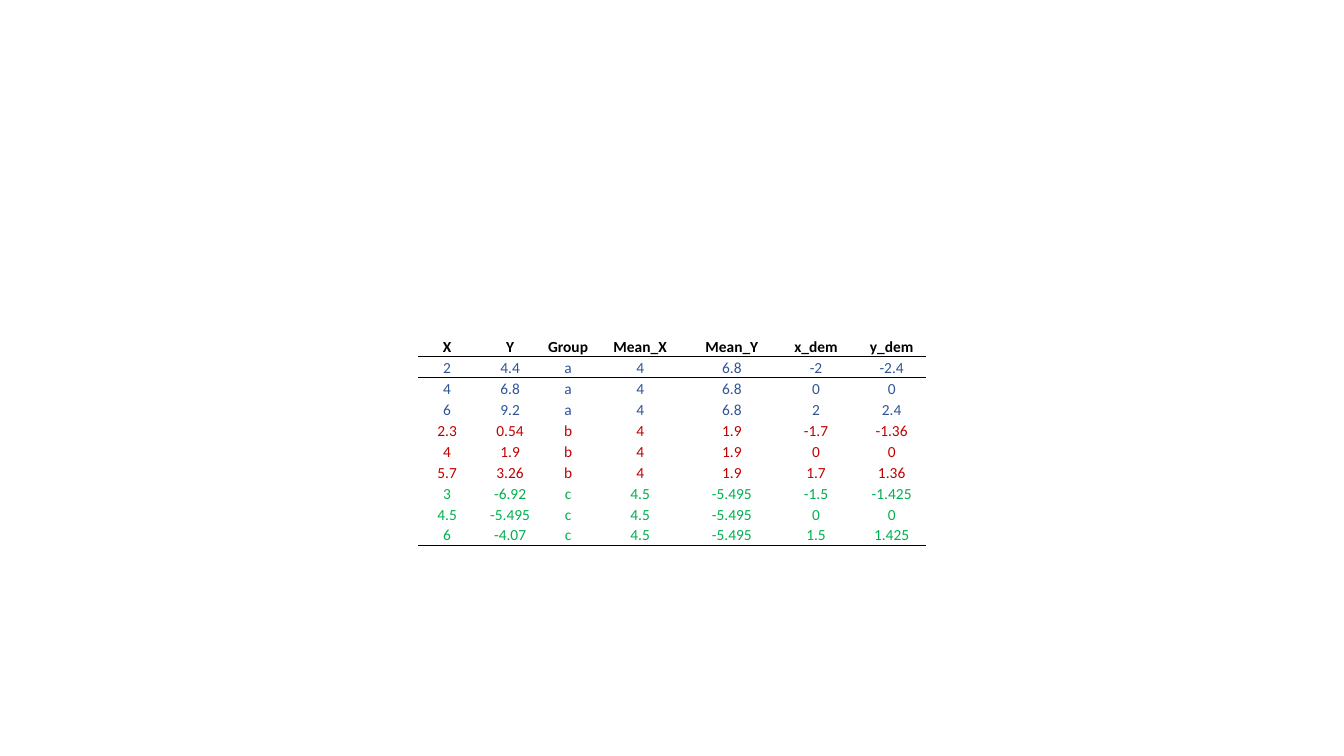
from dataclasses import dataclass

from lxml import etree
from pptx import Presentation
from pptx import util as u
from pptx.dml import color
from pptx.enum import text
from pptx.oxml import ns

BLACK = "000000"
NO_STYLE = "{2D5ABB26-0587-4C30-8999-92F81FD0307C}"
HEADINGS = ["X", "Y", "Group", "Mean_X", "Mean_Y", "x_dem", "y_dem"]
COLUMN_WIDTHS = [0.57, 0.68, 0.47, 0.96, 0.86, 0.81, 0.69]
ROW_HEIGHT = 0.208


@dataclass
class Group:
    name: str
    colour: str
    mean_x: float
    mean_y: float
    points: list[tuple[float, float]]

    def rows(self) -> list[list[str]]:
        """Table rows with each point's means and its distance from them."""
        return [
            [f"{x:g}", f"{y:g}", self.name, f"{self.mean_x:g}", f"{self.mean_y:g}",
             f"{x - self.mean_x:g}", f"{y - self.mean_y:g}"]
            for x, y in self.points
        ]


GROUPS = [
    Group("a", "305496", 4, 6.8, [(2, 4.4), (4, 6.8), (6, 9.2)]),
    Group("b", "C00000", 4, 1.9, [(2.3, 0.54), (4, 1.9), (5.7, 3.26)]),
    Group("c", "00B050", 4.5, -5.495, [(3, -6.92), (4.5, -5.495), (6, -4.07)]),
]


def rgb(colour: str) -> color.RGBColor:
    return color.RGBColor.from_string(colour)


def add_border(cell, side: str) -> None:
    """Rule one side of a cell: "lnT" for the top, "lnB" for the bottom."""
    line = etree.Element(ns.qn(f"a:{side}"), w=str(u.Pt(0.5)))
    fill = etree.SubElement(line, ns.qn("a:solidFill"))
    etree.SubElement(fill, ns.qn("a:srgbClr"), val=BLACK)
    cell._tc.get_or_add_tcPr().insert(0, line)


def write_cell(cell, words: str, colour: str, bold: bool) -> None:
    cell.fill.background()
    cell.margin_left = cell.margin_right = cell.margin_top = u.Inches(0.01)
    cell.margin_bottom = 0
    cell.vertical_anchor = text.MSO_ANCHOR.BOTTOM
    paragraph = cell.text_frame.paragraphs[0]
    paragraph.text = words
    paragraph.alignment = text.PP_ALIGN.CENTER
    font = paragraph.runs[0].font
    font.name, font.size, font.bold = "Calibri", u.Pt(11), bold
    font.color.rgb = rgb(colour)


def add_means_table(slide) -> None:
    rows = [(HEADINGS, BLACK)]
    rows += [(values, group.colour) for group in GROUPS for values in group.rows()]
    table = slide.shapes.add_table(
        len(rows), len(HEADINGS), u.Inches(4.15), u.Inches(3.33),
        u.Inches(sum(COLUMN_WIDTHS)), u.Inches(ROW_HEIGHT * len(rows))).table
    table.first_row = table.horz_banding = False
    table._tbl.tblPr.find(ns.qn("a:tableStyleId")).text = NO_STYLE
    for column, width in zip(table.columns, COLUMN_WIDTHS):
        column.width = u.Inches(width)

    borders = {0: "lnB", 1: "lnT", len(rows) - 1: "lnB"}
    for r, (values, colour) in enumerate(rows):
        table.rows[r].height = u.Inches(ROW_HEIGHT)
        for c, value in enumerate(values):
            cell = table.cell(r, c)
            write_cell(cell, value, colour, bold=r == 0)
            if r in borders:
                add_border(cell, borders[r])


def main() -> None:
    presentation = Presentation()
    presentation.slide_width = u.Inches(13.33)
    presentation.slide_height = u.Inches(7.5)
    add_means_table(presentation.slides.add_slide(presentation.slide_layouts[6]))
    presentation.save("out.pptx")


if __name__ == "__main__":
    main()
